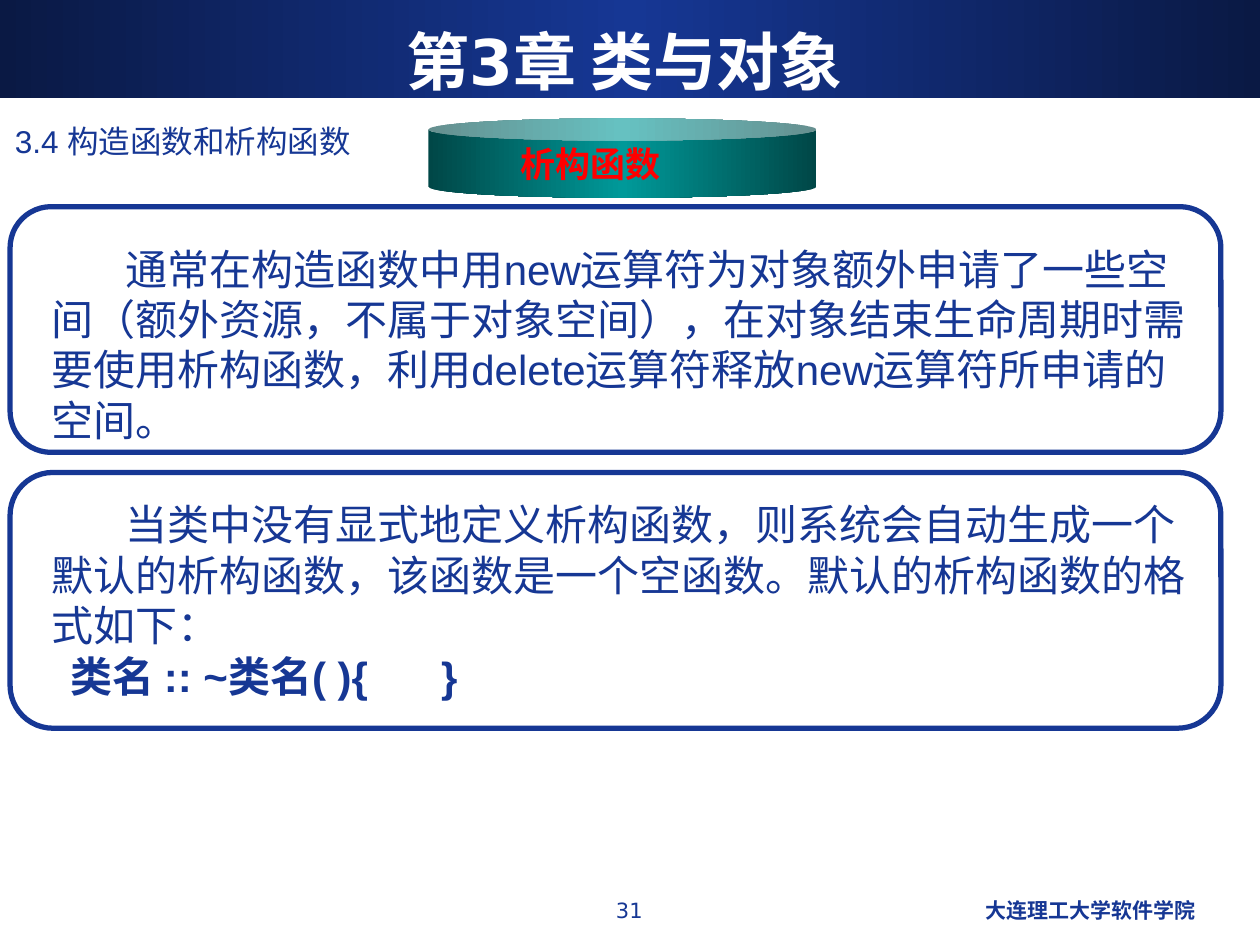
from copy import deepcopy

from pptx import Presentation
from pptx.dml.color import RGBColor
from pptx.enum.shapes import MSO_SHAPE
from pptx.enum.text import MSO_ANCHOR, MSO_AUTO_SIZE, PP_ALIGN
from pptx.util import Inches, Pt

LEFT, CENTER, RIGHT = PP_ALIGN.LEFT, PP_ALIGN.CENTER, PP_ALIGN.RIGHT
MIDDLE = MSO_ANCHOR.MIDDLE
BLUE, NAVY, TEAL, DARK_TEAL = "163794", "0A1944", "009999", "004747"
RED, WHITE = "FF0000", "FFFFFF"
SANS, ARIAL = "DejaVu Sans", "Arial"

TITLE = "第3章 类与对象"
BADGE = "析构函数"
# text, place, alignment, size, font, bold
LABELS = [
    ("31", (3.83, 7.07, 2.33, 0.35), CENTER, 12, SANS, False),
    ("大连理工大学软件学院", (6.42, 7.07, 3.17, 0.35), RIGHT, 12, SANS, True),
    ("3.4 构造函数和析构函数", (0.02, 0.92, 9.25, 0.41), LEFT, 18, ARIAL, False),
]
# frame top, frame height, text top, paragraphs (text, first-line indent, bold)
PANELS = [
    (1.64, 1.95, 1.88, [
        ("通常在构造函数中用new运算符为对象额外申请了一些空间（额外资源，不属于对象空间），"
         "在对象结束生命周期时需要使用析构函数，利用delete运算符释放new运算符所申请的空间。",
         0.59, False),
    ]),
    (3.75, 2.03, 3.91, [
        ("当类中没有显式地定义析构函数，则系统会自动生成一个默认的析构函数，"
         "该函数是一个空函数。默认的析构函数的格式如下：", 0.59, False),
        ("类名 :: ~类名( ){\t }", 0.15, True),
    ]),
]


def rgb(value):
    return RGBColor.from_string(value)


def lengths(place):
    return [Inches(value) for value in place]


def style(para, size, font, color, bold=False, align=LEFT):
    para.alignment = align
    para.font.size, para.font.name, para.font.bold = Pt(size), font, bold
    para.font.color.rgb = rgb(color)


def add_shape(page, kind, place, adjustment=None):
    shape = page.shapes.add_shape(kind, *lengths(place))
    shape.shadow.inherit = False
    if adjustment is not None:
        shape.adjustments[0] = adjustment
    return shape


def fill_gradient(shape, edge, middle):
    """Horizontal gradient, with the same colour at both edges."""
    shape.line.fill.background()
    shape.fill.gradient()
    shape.fill.gradient_angle = 0
    stop_list = shape._element.spPr.find(".//{*}gsLst")
    stop_list.insert(1, deepcopy(stop_list[0]))
    colors = (edge, middle, edge)
    for stop, position, color in zip(shape.fill.gradient_stops, (0, 0.5, 1), colors):
        stop.position = position
        stop.color.rgb = rgb(color)


def add_text(page, place):
    box = page.shapes.add_textbox(*lengths(place))
    box.text_frame.word_wrap = True
    return box.text_frame


def add_panel(page, top, height, text_top, paragraphs):
    frame = add_shape(page, MSO_SHAPE.ROUNDED_RECTANGLE, (0.08, top, 9.61, height), 0.167)
    frame.fill.background()
    frame.line.color.rgb = rgb(BLUE)
    frame.line.width = Pt(3)
    text = add_text(page, (0.31, text_top, 9.3, 1.7))
    text.auto_size = MSO_AUTO_SIZE.SHAPE_TO_FIT_TEXT
    for index, (words, indent, bold) in enumerate(paragraphs):
        para = text.add_paragraph() if index else text.paragraphs[0]
        para.text = words
        properties = para._p.get_or_add_pPr()
        properties.set("marL", "0")
        properties.set("indent", str(Inches(indent)))
        style(para, 24, ARIAL, BLUE, bold)


def main():
    deck = Presentation()
    deck.slide_width, deck.slide_height = Inches(10), Inches(7.5)
    page = deck.slides.add_slide(deck.slide_layouts[5])

    band = add_shape(page, MSO_SHAPE.RECTANGLE, (0, 0, 10, 0.78))
    fill_gradient(band, NAVY, BLUE)
    page.shapes._spTree.insert(2, band._element)  # behind the title

    title = page.shapes.title
    title.left, title.top, title.width, title.height = lengths((0.33, 0.17, 9.25, 0.62))
    title.text_frame.text = TITLE
    title.text_frame.vertical_anchor = MIDDLE
    title.text_frame.auto_size = MSO_AUTO_SIZE.NONE
    style(title.text_frame.paragraphs[0], 36, SANS, WHITE, True, CENTER)

    for words, place, align, size, font, bold in LABELS:
        text = add_text(page, place)
        text.text = words
        style(text.paragraphs[0], size, font, BLUE, bold, align)

    badge = add_shape(page, MSO_SHAPE.CAN, (3.4, 0.94, 3.08, 0.63), 0.279)
    fill_gradient(badge, DARK_TEAL, TEAL)
    text = badge.text_frame
    text.text = BADGE
    text.vertical_anchor = MIDDLE
    text.margin_right = Inches(0.6)
    style(text.paragraphs[0], 20, ARIAL, RED, True, CENTER)

    for panel in PANELS:
        add_panel(page, *panel)

    deck.save("out.pptx")


if __name__ == "__main__":
    main()
